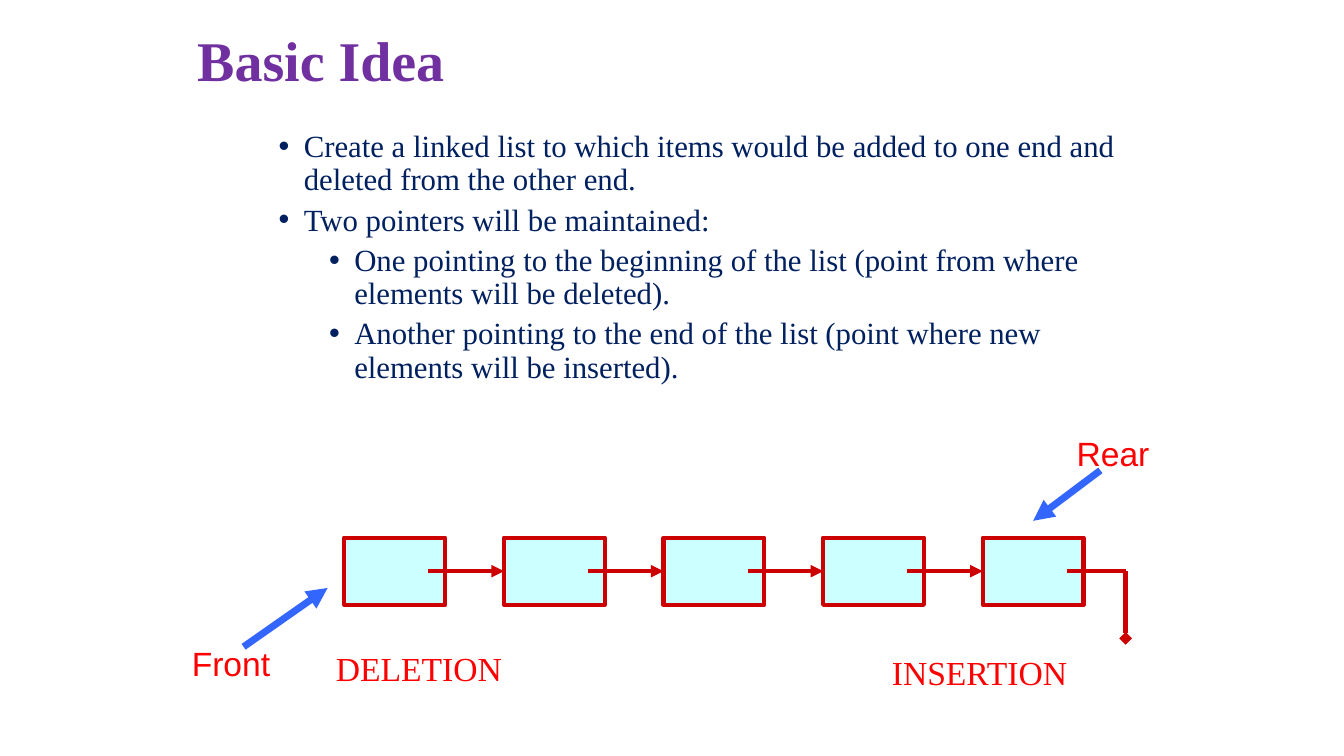
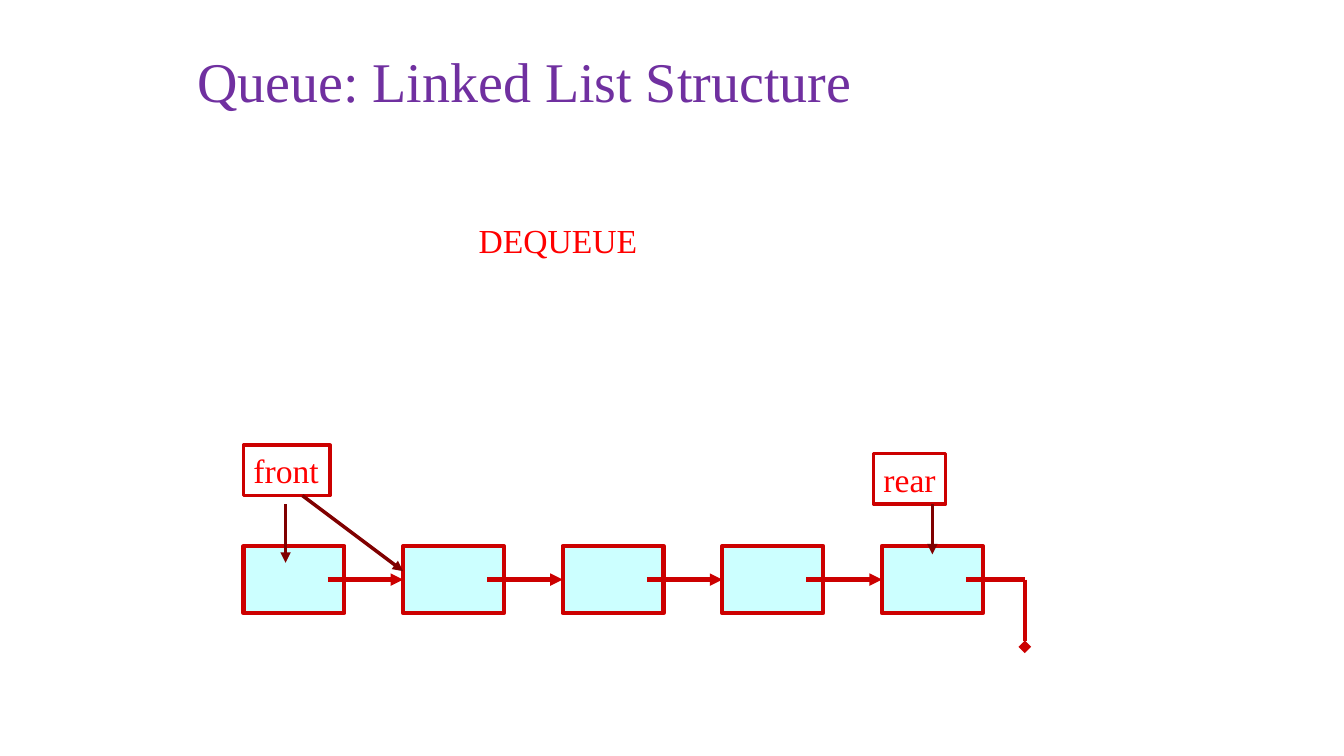
from dataclasses import dataclass

from lxml.etree import SubElement
from pptx import Presentation
from pptx.dml.color import RGBColor
from pptx.enum.shapes import MSO_CONNECTOR, MSO_SHAPE
from pptx.enum.text import MSO_ANCHOR, MSO_AUTO_SIZE, PP_ALIGN
from pptx.oxml.ns import qn
from pptx.shapes.autoshape import Shape
from pptx.shapes.connector import Connector
from pptx.slide import Slide
from pptx.util import Pt

# Shared look
PX = 7620  # EMU per px, 120 px to the inch
SERIF, SANS = "Times New Roman", "Arial"
PURPLE = RGBColor(0x70, 0x30, 0xA0)
NAVY = RGBColor(0x00, 0x20, 0x60)
RED = RGBColor(0xFF, 0x00, 0x00)
CRIMSON = RGBColor(0xCC, 0x00, 0x00)
MAROON = RGBColor(0x80, 0x00, 0x00)
BLUE = RGBColor(0x33, 0x66, 0xFF)
CYAN = RGBColor(0xCC, 0xFF, 0xFF)

# Linked list geometry
NODE_COUNT, NODE_W, NODE_H, NODE_PITCH = 5, 120, 80, 190
LINK_OFFSET, END_RUN, END_DROP = 100, 70, 80


@dataclass(frozen=True)
class Box:
    x: int
    y: int
    w: int
    h: int

    def emu(self) -> tuple[int, ...]:
        return tuple(v * PX for v in (self.x, self.y, self.w, self.h))


@dataclass(frozen=True)
class Label:
    text: str
    box: Box
    font: str = SERIF
    centred: bool = False
    framed: bool = False


@dataclass(frozen=True)
class Arrow:
    start: tuple[int, int]
    end: tuple[int, int]
    color: RGBColor = CRIMSON
    width: float = 3
    head: str = "triangle"


@dataclass(frozen=True)
class Bullet:
    text: str
    indent: int


TITLE_BOX = Box(223, 25, 1144, 150)
BODY_BOX = Box(260, 150, 1080, 594)
BULLET_HANG = 30
BULLETS = [
    Bullet("Create a linked list to which items would be added to one end and "
           "deleted from the other end.", 90),
    Bullet("Two pointers will be maintained:", 90),
    Bullet("One pointing to the beginning of the list (point from where elements "
           "will be deleted).", 150),
    Bullet("Another pointing to the end of the list (point where new elements "
           "will be inserted).", 150),
]
IDEA_LABELS = [
    Label("Front", Box(200, 760, 150, 60), SANS, centred=True),
    Label("Rear", Box(1250, 510, 150, 60), SANS, centred=True),
    Label("DELETION", Box(388, 766, 224, 60)),
    Label("INSERTION", Box(1050, 770, 235, 60)),
]
IDEA_ARROWS = [
    Arrow((290, 770), (390, 700), BLUE, 5),
    Arrow((1310, 560), (1230, 620), BLUE, 5),
]
QUEUE_LABELS = [
    Label("front", Box(290, 530, 103, 60), framed=True),
    Label("rear", Box(1040, 540, 86, 60), framed=True),
    Label("DEQUEUE", Box(558, 256, 222, 60)),
]
QUEUE_ARROWS = [
    Arrow((340, 600), (340, 670), MAROON, 2.5),
    Arrow((1110, 600), (1110, 660), MAROON, 2.5),
    Arrow((360, 590), (480, 680), MAROON, 2.5),
]


def style_font(font, name: str, size: int, color: RGBColor, bold: bool = False) -> None:
    font.name, font.size, font.bold = name, Pt(size), bold
    font.color.rgb = color


def add_title(slide: Slide, text: str, bold: bool, anchor: MSO_ANCHOR,
              line_spacing: float) -> None:
    title = slide.shapes.add_textbox(*TITLE_BOX.emu())
    frame = title.text_frame
    frame.word_wrap, frame.vertical_anchor = True, anchor
    frame.text = text
    heading = frame.paragraphs[0]
    heading.line_spacing = line_spacing
    style_font(heading.runs[0].font, SERIF, 40, PURPLE, bold)


def add_bullets(slide: Slide, bullets: list[Bullet]) -> None:
    frame = slide.shapes.add_textbox(*BODY_BOX.emu()).text_frame
    frame.word_wrap = True
    for number, bullet in enumerate(bullets):
        item = frame.add_paragraph() if number else frame.paragraphs[0]
        item.text = bullet.text
        props = item._p.get_or_add_pPr()
        props.set("marL", str(bullet.indent * PX))
        props.set("indent", str(-BULLET_HANG * PX))
        SubElement(props, qn("a:buFont")).set("typeface", SANS)
        SubElement(props, qn("a:buChar")).set("char", "•")
        item.line_spacing = 0.9
        item.space_before = Pt(5 if number else 0)
        style_font(item.runs[0].font, SERIF, 22, NAVY)


def add_rectangle(slide: Slide, box: Box, width: float) -> Shape:
    rectangle = slide.shapes.add_shape(MSO_SHAPE.RECTANGLE, *box.emu())
    rectangle.shadow.inherit = False
    rectangle.line.color.rgb = CRIMSON
    rectangle.line.width = Pt(width)
    return rectangle


def add_label(slide: Slide, label: Label) -> None:
    if label.framed:
        holder = add_rectangle(slide, label.box, 2.5)
        holder.fill.background()
    else:
        holder = slide.shapes.add_textbox(*label.box.emu())
    frame = holder.text_frame
    frame.word_wrap = label.centred
    frame.auto_size = MSO_AUTO_SIZE.SHAPE_TO_FIT_TEXT
    frame.vertical_anchor = MSO_ANCHOR.TOP
    frame.text = label.text
    caption = frame.paragraphs[0]
    caption.alignment = PP_ALIGN.CENTER if label.centred else PP_ALIGN.LEFT
    style_font(caption.runs[0].font, label.font, 24, RED)


def add_arrow(slide: Slide, arrow: Arrow) -> Connector:
    ends = (v * PX for v in (*arrow.start, *arrow.end))
    connector = slide.shapes.add_connector(MSO_CONNECTOR.STRAIGHT, *ends)
    connector.line.color.rgb = arrow.color
    connector.line.width = Pt(arrow.width)
    SubElement(connector.line._get_or_add_ln(), qn("a:tailEnd")).set("type", arrow.head)
    SubElement(connector._element.spPr, qn("a:effectLst"))
    return connector


def add_linked_list(slide: Slide, left: int, top: int) -> None:
    lefts = [left + i * NODE_PITCH for i in range(NODE_COUNT)]
    nodes = [add_rectangle(slide, Box(x, top, NODE_W, NODE_H), 3) for x in lefts]
    for node in nodes:
        node.fill.solid()
        node.fill.fore_color.rgb = CYAN
    # Links between neighbours
    middle = top + NODE_H // 2
    for x, next_x, next_node in zip(lefts, lefts[1:], nodes[1:]):
        link = add_arrow(slide, Arrow((x + LINK_OFFSET, middle), (next_x, middle)))
        link.end_connect(next_node, 1)
    # Null end of the last node
    start = lefts[-1] + LINK_OFFSET
    corner = (start + END_RUN, middle)
    add_arrow(slide, Arrow((start, middle), corner, head="none"))
    add_arrow(slide, Arrow(corner, (corner[0], middle + END_DROP), head="diamond"))


def add_annotations(slide: Slide, labels: list[Label], arrows: list[Arrow]) -> None:
    for label in labels:
        add_label(slide, label)
    for arrow in arrows:
        add_arrow(slide, arrow)


def main() -> None:
    deck = Presentation()
    deck.slide_width, deck.slide_height = 1600 * PX, 900 * PX
    blank = deck.slide_layouts[6]

    # Basic idea
    idea = deck.slides.add_slide(blank)
    add_linked_list(idea, 410, 640)
    add_annotations(idea, IDEA_LABELS, IDEA_ARROWS)
    add_title(idea, "Basic Idea", True, MSO_ANCHOR.TOP, 1.0)
    add_bullets(idea, BULLETS)

    # Dequeue on the linked list
    queue = deck.slides.add_slide(blank)
    add_linked_list(queue, 290, 650)
    add_annotations(queue, QUEUE_LABELS, QUEUE_ARROWS)
    add_title(queue, "Queue: Linked List Structure", False, MSO_ANCHOR.MIDDLE, 0.9)

    deck.save("out.pptx")


if __name__ == "__main__":
    main()
